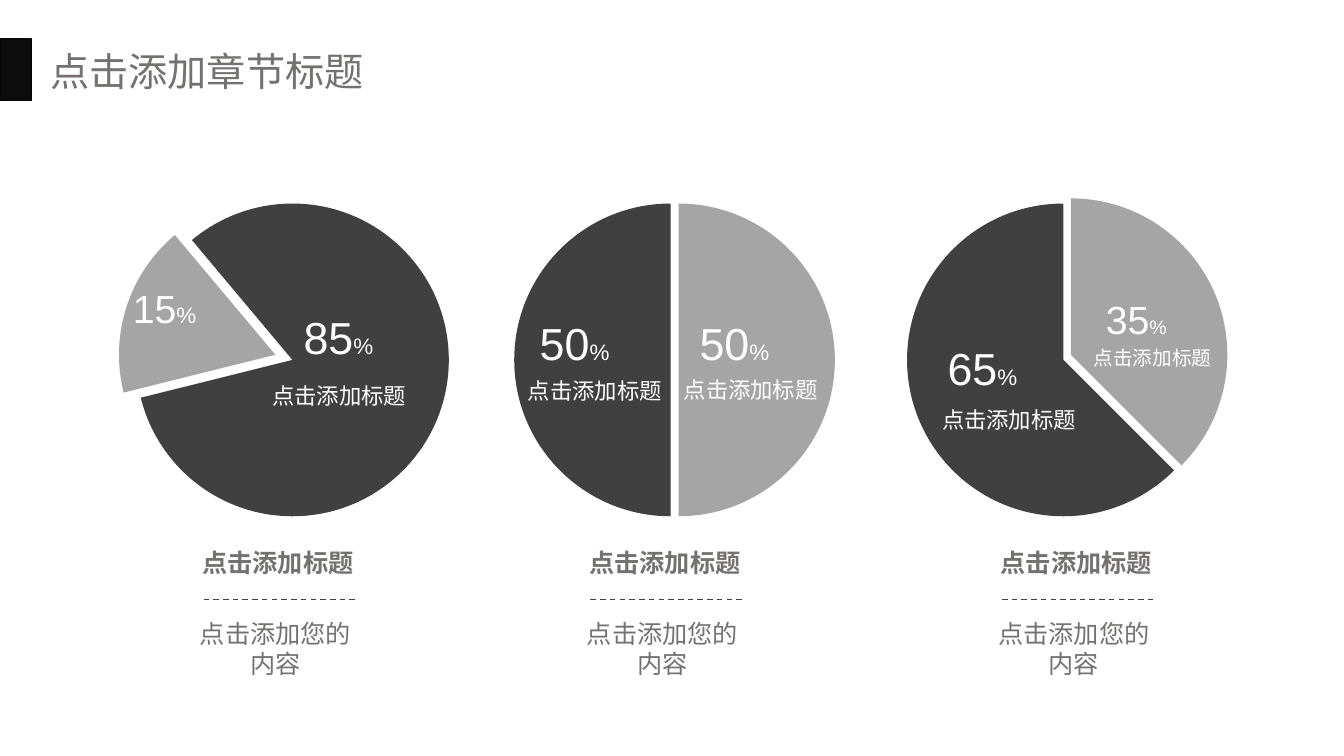
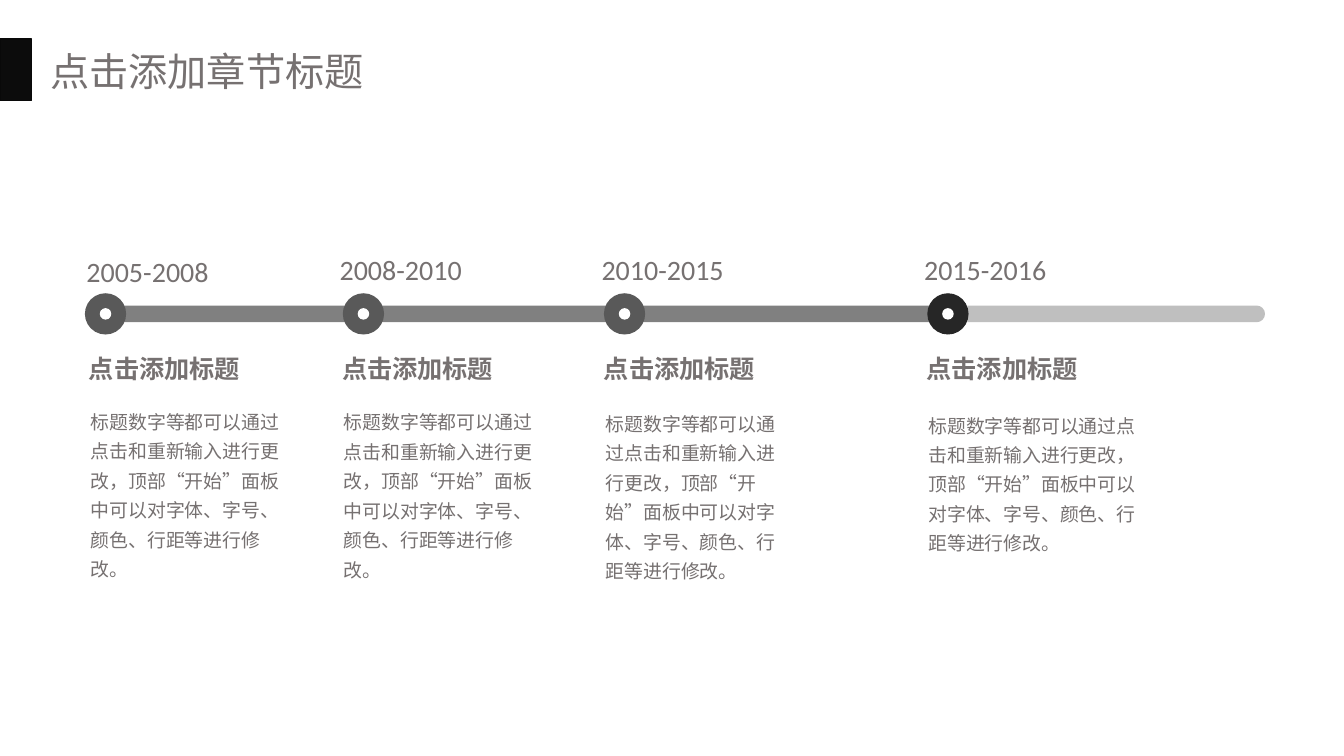
from dataclasses import dataclass
from math import cos, radians, sin, tan

from lxml import etree
from pptx import Presentation
from pptx.dml.color import RGBColor
from pptx.enum import dml, lang, shapes, text
from pptx.oxml.ns import qn
from pptx.util import Cm, Pt


@dataclass(frozen=True)
class Theme:
    black: str = "0C0C0C"
    edge: str = "090909"
    ink: str = "767171"
    dark: str = "404040"
    light: str = "A5A5A5"
    white: str = "FFFFFF"
    past: str = "808080"
    ahead: str = "BFBFBF"
    node: str = "595959"
    now: str = "262626"
    sans: str = "Arial"
    date: str = "Calibri"
    hans: str = "Noto Sans CJK SC"
    title: float = 28
    head: float = 18
    years: float = 20
    body: float = 13.5


T = Theme()


@dataclass(frozen=True)
class Look:
    size: float
    font: str = T.hans
    color: str = T.ink
    bold: bool = False
    align: text.PP_ALIGN = text.PP_ALIGN.LEFT
    space: float = 1.0


@dataclass(frozen=True)
class Slice:
    """A pie sector; angles run clockwise from the right."""
    x: float
    y: float
    start: int
    end: int
    color: str


@dataclass(frozen=True)
class Share:
    value: str
    x: float
    y: float
    size: float
    unit: float


@dataclass(frozen=True)
class Label:
    x: float
    y: float
    size: float


@dataclass(frozen=True)
class Stage:
    years: str
    x: float
    left: float
    top: float
    width: float
    color: str = T.node
    high: float = 6.25


TITLE = "点击添加章节标题"
HEAD = "点击添加标题"
NOTE = "点击添加您的内容"
BODY = "标题数字等都可以通过点击和重新输入进行更改，顶部“开始”面板中可以对字体、字号、颜色、行距等进行修改。"

RADIUS = 3.94
SLICES = [
    Slice(6.94, 8.94, 166, 230, T.light),
    Slice(7.37, 9.07, 230, 526, T.dark),
    Slice(16.9, 9.07, 90, 270, T.dark),
    Slice(17.1, 9.07, -90, 90, T.light),
    Slice(26.99, 8.94, -90, 45, T.light),
    Slice(26.8, 9.07, 45, 270, T.dark),
]
SHARES = [
    Share("15", 3.1, 7.04, 28, 16),
    Share("85", 7.4, 7.67, 32, 16),
    Share("50", 13.35, 7.82, 32, 16),
    Share("50", 17.38, 7.82, 32, 16),
    Share("65", 23.63, 8.46, 32, 16),
    Share("35", 27.62, 7.32, 28, 14),
]
LABELS = [
    Label(6.61, 9.51, 16),
    Label(13.05, 9.37, 16),
    Label(16.98, 9.36, 16),
    Label(23.49, 10.11, 16),
    Label(27.31, 8.59, 14),
]
NOTES = [4.85, 14.6, 24.97]
AXIS = 7.91
STAGES = [
    Stage("2005-2008", 2.66, 1.93, 10.05, 5.3, high=6.3),
    Stage("2008-2010", 9.16, 8.31, 10.06, 5.3),
    Stage("2010-2015", 15.74, 14.91, 10.1, 5.05),
    Stage("2015-2016", 23.89, 23.04, 10.14, 6.15, T.now),
]


def paint(shape, color: str, edge: str | None = None) -> None:
    shape.shadow.inherit = False
    shape.fill.solid()
    shape.fill.fore_color.rgb = RGBColor.from_string(color)
    if edge:
        shape.line.color.rgb = RGBColor.from_string(edge)
        shape.line.width = Pt(1)
    else:
        shape.line.fill.background()


def write(slide, runs: list[tuple[str, float]], x: float, y: float,
          width: float, height: float, look: Look, wrap: bool = True) -> None:
    """Place one paragraph whose runs are (words, size) pairs."""
    frame = slide.shapes.add_textbox(
        Cm(x), Cm(y), Cm(width), Cm(height)).text_frame
    frame.word_wrap = wrap
    para = frame.paragraphs[0]
    para.alignment = look.align
    para.line_spacing = look.space
    para._p.get_or_add_pPr().set("hangingPunct", "0")
    for words, size in runs:
        run = para.add_run()
        run.text = words
        form = {"name": look.font, "size": Pt(size), "bold": look.bold,
                "language_id": lang.MSO_LANGUAGE_ID.SIMPLIFIED_CHINESE}
        for key, value in form.items():
            setattr(run.font, key, value)
        run.font.color.rgb = RGBColor.from_string(look.color)
        east = etree.SubElement(run._r.get_or_add_rPr(), qn("a:ea"))
        east.set("typeface", T.hans)


def line_up(slide, words: str, x: float, y: float, look: Look) -> None:
    """Write full-width characters on one line, in a box sized to fit."""
    width = len(words) * Pt(look.size).cm + 0.55
    write(slide, [(words, look.size)], x, y, width, look.size * 0.055,
          look, wrap=False)


def trace(start: int, end: int) -> list[tuple[float, float]]:
    """Bezier points of a unit arc, split at the quarter turns."""
    turns = [start, *(a for a in range(-90, 541, 90) if start < a < end), end]
    points = [(cos(radians(start)), sin(radians(start)))]
    for a, b in zip(map(radians, turns), map(radians, turns[1:])):
        pull = 4 / 3 * tan((b - a) / 4)
        points += [(cos(a) - pull * sin(a), sin(a) + pull * cos(a)),
                   (cos(b) + pull * sin(b), sin(b) - pull * cos(b)),
                   (cos(b), sin(b))]
    return points


def curve(slide, x: float, y: float, radius: float, start: int, end: int,
          rest: list[tuple[float, float]], color: str) -> None:
    """Fill an arc that is closed through the rest of the points."""
    arc = [(x + radius * px, y + radius * py) for px, py in trace(start, end)]
    first, *others = [(Cm(px), Cm(py)) for px, py in arc + rest]
    pen = slide.shapes.build_freeform(*first)
    pen.add_line_segments(others, close=True)
    shape = pen.convert_to_shape()
    steps = list(shape._element.iter(qn("a:lnTo")))[:len(arc) - 1]
    for one, two, three in zip(steps[::3], steps[1::3], steps[2::3]):
        one.tag = qn("a:cubicBezTo")
        for step in (two, three):
            one.append(step[0])
            step.getparent().remove(step)
    paint(shape, color)


def disc(slide, x: float, y: float, size: float, color: str) -> None:
    shape = slide.shapes.add_shape(
        shapes.MSO_SHAPE.OVAL, Cm(x - size / 2), Cm(y - size / 2),
        Cm(size), Cm(size))
    paint(shape, color)


def dash(slide, x: float, y: float, width: float) -> None:
    line = slide.shapes.add_connector(
        shapes.MSO_CONNECTOR.STRAIGHT, Cm(x), Cm(y), Cm(x + width), Cm(y))
    line.line.color.rgb = RGBColor.from_string(T.dark)
    line.line.width = Pt(1)
    line.line.dash_style = dml.MSO_LINE.DASH
    etree.SubElement(line._element.spPr, qn("a:effectLst"))


def start_slide(deck):
    """Add a blank slide with the black tab and the title."""
    slide = deck.slides.add_slide(deck.slide_layouts[6])
    tab = slide.shapes.add_shape(
        shapes.MSO_SHAPE.RECTANGLE, 0, Cm(0.98), Cm(0.8), Cm(1.55))
    paint(tab, T.black, T.edge)
    line_up(slide, TITLE, 1.02, 1.07, Look(T.title))
    return slide


def draw_pies(deck) -> None:
    slide = start_slide(deck)
    for s in SLICES:
        curve(slide, s.x, s.y, RADIUS, s.start, s.end, [(s.x, s.y)], s.color)
    for s in SHARES:
        write(slide, [(s.value, s.size), ("%", s.unit)], s.x, s.y, 3.2, 1.6,
              Look(s.size, T.sans, T.white))
    for s in LABELS:
        line_up(slide, HEAD, s.x, s.y, Look(s.size, T.sans, T.white))
    for x in NOTES:
        line_up(slide, HEAD, x, 13.67, Look(T.head, bold=True))
        dash(slide, x + 0.28, 15.1, 3.82)
        write(slide, [(NOTE, T.head)], x - 0.37, 15.46, 4.93, 1.8,
              Look(T.head, align=text.PP_ALIGN.CENTER))


def draw_stages(deck) -> None:
    slide = start_slide(deck)
    half = 0.21
    top, base = AXIS - half, AXIS + half
    curve(slide, 31.67, AXIS, half, -90, 90,
          [(24.38, base), (24.38, top)], T.ahead)
    curve(slide, 2.62, AXIS, half, 90, 270,
          [(23.88, top), (23.88, base)], T.past)
    for s in STAGES:
        disc(slide, s.x, AXIS, 1.04, s.color)
        disc(slide, s.x, AXIS, 0.29, T.white)
        write(slide, [(s.years, T.years)], s.left, s.high, 3.61, 1.12,
              Look(T.years, T.date), wrap=False)
        line_up(slide, HEAD, s.left + 0.06, 8.78,
                Look(T.head, T.sans, bold=True))
        write(slide, [(BODY, T.body)], s.left + 0.11, s.top, s.width, 4.75,
              Look(T.body, T.date, space=1.3))


def main() -> None:
    deck = Presentation()
    deck.slide_width, deck.slide_height = Cm(33.87), Cm(19.05)
    draw_pies(deck)
    draw_stages(deck)
    deck.save("out.pptx")


if __name__ == "__main__":
    main()
